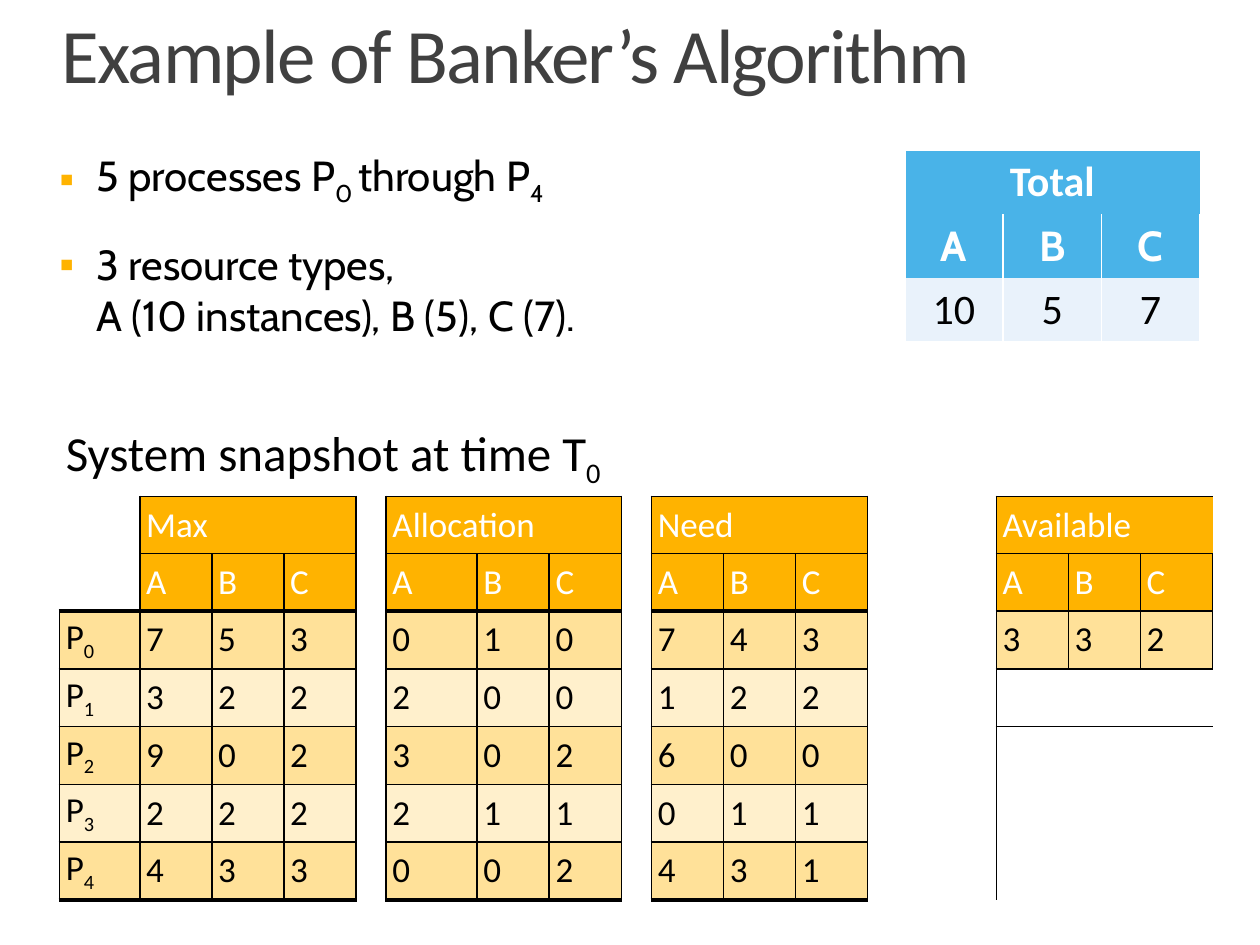
from lxml.etree import SubElement
from pptx import Presentation
from pptx.dml.color import RGBColor
from pptx.enum.text import MSO_ANCHOR, MSO_AUTO_SIZE, PP_ALIGN
from pptx.oxml.ns import qn
from pptx.util import Pt

COLORS = {
    "title": "404040", "text": "000000", "white": "FFFFFF", "amber": "FFB300",
    "band_dark": "FFE199", "band_light": "FFF0CC", "blue": "49B3E8", "pale": "E9F2FB",
}
NO_STYLE = "{2D5ABB26-0587-4C30-8999-92F81FD0307C}"


def write(para, *pieces, size=20, font="Calibri", color="text", bold=False,
          align=PP_ALIGN.LEFT, spacing=0):
    """Add runs to a paragraph; every second piece is a subscript, a newline breaks the line."""
    para.alignment = align
    for index, piece in enumerate(pieces):
        for number, line in enumerate(piece.split("\n")):
            if number:
                para.add_line_break()
            span = para.add_run()
            span.text = line
            span.font.size = Pt(size)
            span.font.name = font
            span.font.bold = bold
            span.font.color.rgb = RGBColor.from_string(COLORS[color])
            properties = span.font._element
            if index % 2:
                properties.set("baseline", "-25000")
            if spacing:
                properties.set("spc", str(spacing * 100))


def rule_table(table, widths, heights, vertical, horizontal, color):
    """Size an unstyled grid and draw its lines, given as {(row, column): width}."""
    table._tbl.tblPr.find(qn("a:tableStyleId")).text = NO_STYLE
    table.first_row = table.horz_banding = False
    for column, width in zip(table.columns, widths):
        column.width = Pt(width)
    for row, height in zip(table.rows, heights):
        row.height = Pt(height)
    for r in range(len(heights)):
        for c in range(len(widths)):
            cell = table.cell(r, c)
            cell.vertical_anchor = MSO_ANCHOR.MIDDLE
            properties = cell._tc.get_or_add_tcPr()
            edges = {"a:lnL": vertical.get((r, c)), "a:lnR": vertical.get((r, c + 1)),
                     "a:lnT": horizontal.get((r, c)), "a:lnB": horizontal.get((r + 1, c))}
            for tag, width in edges.items():
                if width:
                    line = SubElement(properties, qn(tag), w=str(Pt(width)))
                    fill = SubElement(line, qn("a:solidFill"))
                    SubElement(fill, qn("a:srgbClr"), val=COLORS[color])


deck = Presentation()
deck.slide_width, deck.slide_height = Pt(720), Pt(540)
page = deck.slides.add_slide(deck.slide_layouts[1])

# Title
title = page.shapes.title
title.left, title.top, title.width, title.height = Pt(0), Pt(0), Pt(720), Pt(56.2)
frame = title.text_frame
frame.auto_size = MSO_AUTO_SIZE.NONE
frame.vertical_anchor = MSO_ANCHOR.BOTTOM
frame.margin_left = frame.margin_right = frame.margin_bottom = 0
frame.margin_top = Pt(3)
para = frame.paragraphs[0]
para.line_spacing = 0.8
para._p.get_or_add_pPr().set("marL", str(Pt(35.3)))
write(para, "Example of Banker’s Algorithm", size=44, color="title", spacing=-1)

# Bullet list
body = page.placeholders[1]
body.left, body.top, body.width, body.height = Pt(34), Pt(85.7), Pt(652), Pt(198.7)
frame = body.text_frame
frame.auto_size = MSO_AUTO_SIZE.NONE
frame.margin_left = frame.margin_right = frame.margin_top = frame.margin_bottom = 0
bullets = [
    ("5 processes P", "0 ", "through P", "4"),
    ("3 resource types, \nA (10 instances), B (5), C (7).",),
]
for index, pieces in enumerate(bullets):
    para = frame.add_paragraph() if index else frame.paragraphs[0]
    para.space_before = Pt(18)
    properties = para._p.get_or_add_pPr()
    properties.set("marL", str(Pt(21)))
    properties.set("indent", str(Pt(-21)))
    bullet_color = SubElement(properties, qn("a:buClr"))
    SubElement(bullet_color, qn("a:srgbClr"), val=COLORS["amber"])
    SubElement(properties, qn("a:buChar"), char="▪")
    write(para, *pieces, size=24, font="Cabin")

# Snapshot table: each block is (name, first column, rows of values)
blocks = [
    ("Max", 1, ["753", "322", "902", "222", "433"]),
    ("Allocation", 5, ["010", "200", "302", "211", "002"]),
    ("Need", 9, ["743", "122", "600", "011", "431"]),
    ("Available", 13, ["332"]),
]
unit = 41.2
widths = [45.9, *[unit] * 3, 14.3, 52, *[unit] * 2, 12.2, *[unit] * 3, 73.5, *[unit] * 3]
heights = [43] + [32.8] * 7
vertical = {(row, 0): 1 for row in range(3, 8)}
horizontal = {(row, 0): 2.25 if row in (3, 8) else 1 for row in range(3, 9)}
for name, start, values in blocks:
    end = 3 + len(values)
    heavy = 1 if name == "Available" else 2.25
    for row in range(1, end):
        for column in range(start, start + 4):
            inner = start < column < start + 3
            open_left = name == "Available" and column == start
            if not open_left and not (row == 1 and inner):
                vertical[row, column] = 1
    for column in range(start, start + 3):
        for row in (1, *range(3, end + 1)):
            horizontal[row, column] = heavy if row in (3, end) else 1

snapshot = page.shapes.add_table(8, 16, Pt(34), Pt(239.8), Pt(sum(widths)), Pt(sum(heights))).table
rule_table(snapshot, widths, heights, vertical, horizontal, "text")

entries = [(3 + n, 0, ("P", str(n))) for n in range(5)]
for name, start, values in blocks:
    snapshot.cell(1, start).merge(snapshot.cell(1, start + 2))
    entries.append((1, start, (name,)))
    for row, letters in enumerate(["ABC", *values], 2):
        entries += [(row, start + n, (letter,)) for n, letter in enumerate(letters)]
snapshot.cell(0, 0).merge(snapshot.cell(0, 15))
entries.append((0, 0, ("System snapshot at time T", "0")))

for row, column, pieces in entries:
    cell = snapshot.cell(row, column)
    cell.margin_left = cell.margin_right = Pt(3.6)
    cell.margin_top = cell.margin_bottom = Pt(2.9)
    header = row in (1, 2)
    if row:
        fill = "amber" if header else "band_dark" if row % 2 else "band_light"
        cell.fill.solid()
        cell.fill.fore_color.rgb = RGBColor.from_string(COLORS[fill])
    write(cell.text_frame.paragraphs[0], *pieces, size=20 if row else 28,
          color="white" if header else "text")

# Total table
total_rows = [["Total"], ["A", "B", "C"], ["10", "5", "7"]]
vertical = {(row, column): 1 for row in range(3) for column in range(4)
            if row or column in (0, 3)}
horizontal = {(row, column): 1 for row in (0, 3) for column in range(3)}
total = page.shapes.add_table(3, 3, Pt(517), Pt(86), Pt(168.6), Pt(108)).table
rule_table(total, [56.2] * 3, [36] * 3, vertical, horizontal, "white")
total.cell(0, 0).merge(total.cell(0, 2))
for row, texts in enumerate(total_rows):
    header = row < 2
    for column, text in enumerate(texts):
        cell = total.cell(row, column)
        cell.fill.solid()
        cell.fill.fore_color.rgb = RGBColor.from_string(COLORS["blue" if header else "pale"])
        write(cell.text_frame.paragraphs[0], text, size=24, bold=header,
              font="Cabin" if row == 1 else "Calibri",
              color="white" if header else "text", align=PP_ALIGN.CENTER)

deck.save("out.pptx")
